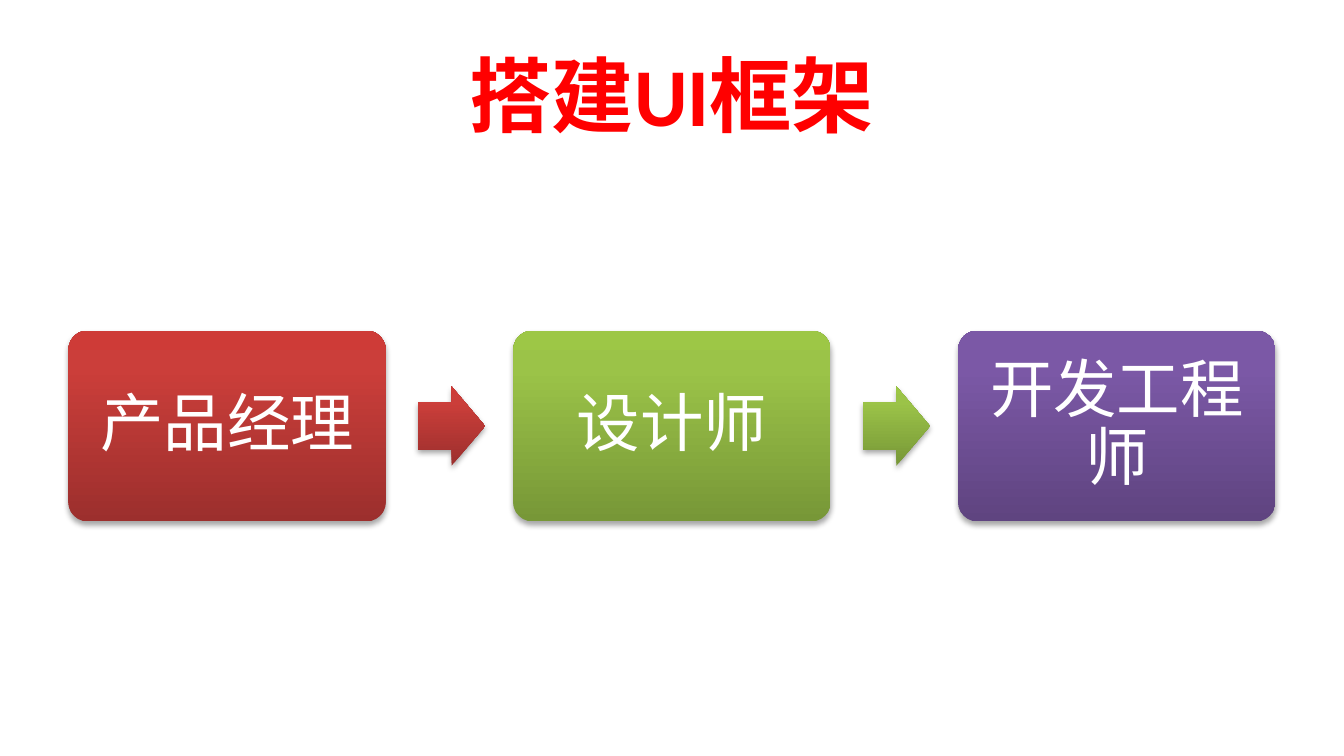
from dataclasses import dataclass

from pptx import Presentation
from pptx.dml.color import RGBColor
from pptx.enum.shapes import MSO_SHAPE
from pptx.enum.text import MSO_ANCHOR, PP_ALIGN
from pptx.oxml import parse_xml
from pptx.oxml.ns import nsdecls, qn
from pptx.shapes.autoshape import Shape
from pptx.slide import Slide
from pptx.util import Pt

FONT = "Calibri"
COLORS = {"title": "FF0000", "text": "FFFFFF", "shadow": "000000"}
GRADIENTS = {
    "red": ("9C2F2D", "CB3E3A", "CE3B37"),
    "green": ("779737", "9BC348", "9DC746"),
    "purple": ("5F4480", "7B58A6", "7C57A8"),
}
STOPS = (0, 80, 100)

BOX_LEFT, BOX_TOP, BOX_W, BOX_H = 36.72, 177.12, 169.92, 102.24
ARROW_W, ARROW_H = 36, 42.48
ARROW_OFFSET = 187.2
STEP = 238.32


@dataclass
class Role:
    name: str
    color: str


ROLES = [
    Role("产品经理", "red"),
    Role("设计师", "green"),
    Role("开发工程师", "purple"),
]


def style_text(sp: Shape, text: str, size: float, color: str, bold: bool = False) -> None:
    tf = sp.text_frame
    tf.text = text
    tf.word_wrap = True
    tf.vertical_anchor = MSO_ANCHOR.MIDDLE
    p = tf.paragraphs[0]
    p.alignment = PP_ALIGN.CENTER
    r = p.runs[0]
    r.font.name = FONT
    r.font.size = Pt(size)
    r.font.bold = bold
    r.font.color.rgb = RGBColor.from_string(COLORS[color])


def style_surface(sp: Shape, color: str) -> None:
    """Apply a three-stop gradient, dark at the bottom, and a soft shadow below."""
    sp.fill.gradient()
    sp.fill.gradient_angle = 90
    sp.line.fill.background()
    sp.shadow.inherit = False
    props = sp._element.spPr

    stops = props.find(qn("a:gradFill")).find(qn("a:gsLst"))
    for gs in list(stops):
        stops.remove(gs)
    for pos, rgb in zip(STOPS, GRADIENTS[color]):
        stops.append(parse_xml(
            f'<a:gs {nsdecls("a")} pos="{pos * 1000}"><a:srgbClr val="{rgb}"/></a:gs>'))

    props.find(qn("a:effectLst")).append(parse_xml(
        f'<a:outerShdw {nsdecls("a")} blurRad="{Pt(3.1)}" dist="{Pt(1.8)}" '
        f'dir="5400000" rotWithShape="0"><a:srgbClr val="{COLORS["shadow"]}">'
        '<a:alpha val="35000"/></a:srgbClr></a:outerShdw>'))


def add_title(s: Slide, text: str) -> None:
    sp = s.shapes.add_textbox(Pt(36), Pt(16.56), Pt(648), Pt(67.68))
    style_text(sp, text, 44, "title", bold=True)


def add_role(s: Slide, role: Role, left: float) -> None:
    sp = s.shapes.add_shape(
        MSO_SHAPE.ROUNDED_RECTANGLE, Pt(left), Pt(BOX_TOP), Pt(BOX_W), Pt(BOX_H))
    sp.adjustments[0] = 0.1
    style_surface(sp, role.color)
    style_text(sp, role.name, 34, "text")
    tf = sp.text_frame
    tf.margin_left = tf.margin_right = tf.margin_top = tf.margin_bottom = Pt(10)
    tf.paragraphs[0].line_spacing = 0.9


def add_arrow(s: Slide, color: str, left: float) -> None:
    top = BOX_TOP + (BOX_H - ARROW_H) / 2
    sp = s.shapes.add_shape(
        MSO_SHAPE.RIGHT_ARROW, Pt(left), Pt(top), Pt(ARROW_W), Pt(ARROW_H))
    sp.adjustments[0] = 0.6
    sp.adjustments[1] = 0.5
    style_surface(sp, color)


def main() -> None:
    prs = Presentation()
    prs.slide_width, prs.slide_height = Pt(720), Pt(405)
    s = prs.slides.add_slide(prs.slide_layouts[6])
    add_title(s, "搭建UI框架")
    for i, role in enumerate(ROLES):
        left = BOX_LEFT + i * STEP
        add_role(s, role, left)
        if i < len(ROLES) - 1:
            add_arrow(s, role.color, left + ARROW_OFFSET)
    prs.save("out.pptx")


if __name__ == "__main__":
    main()
